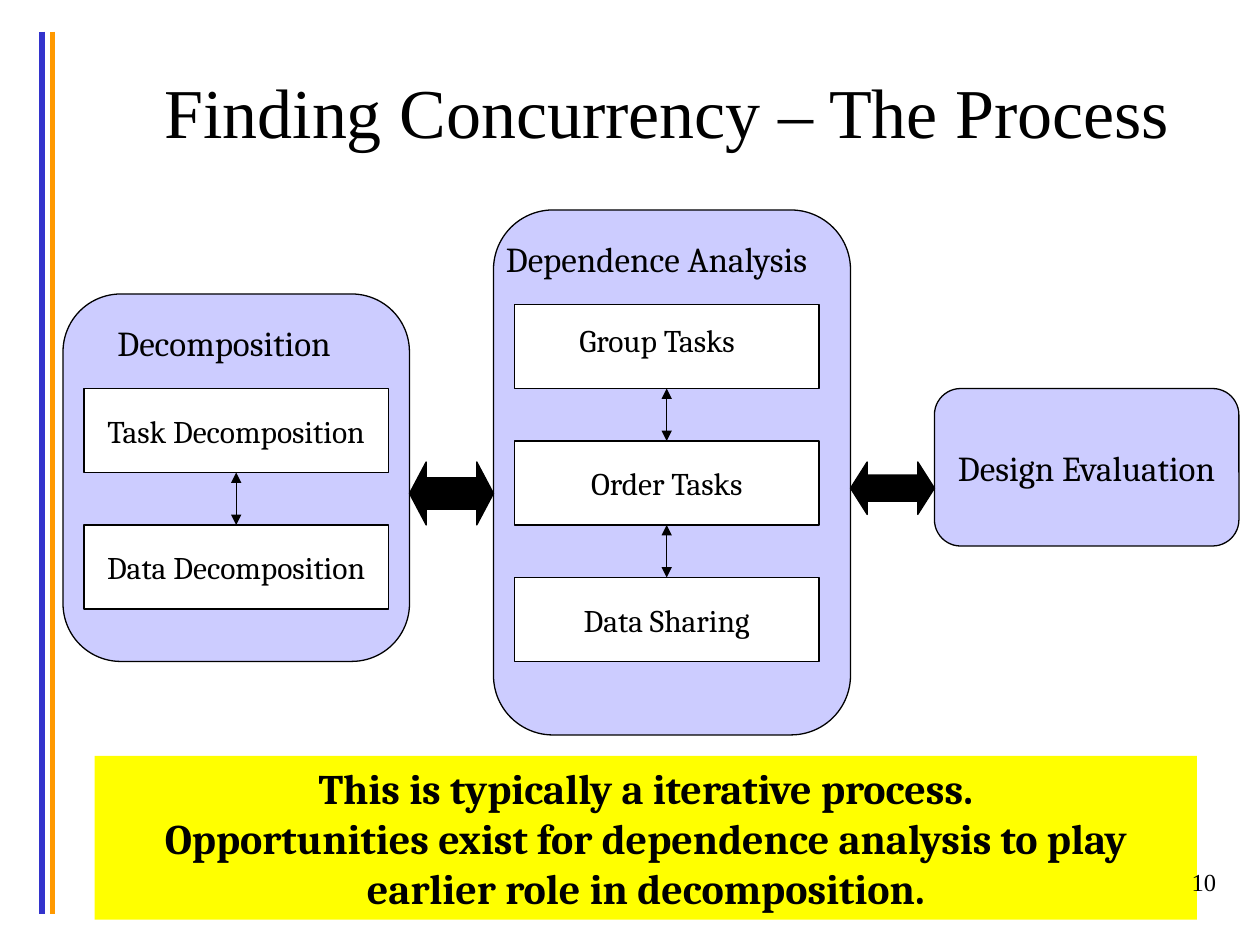
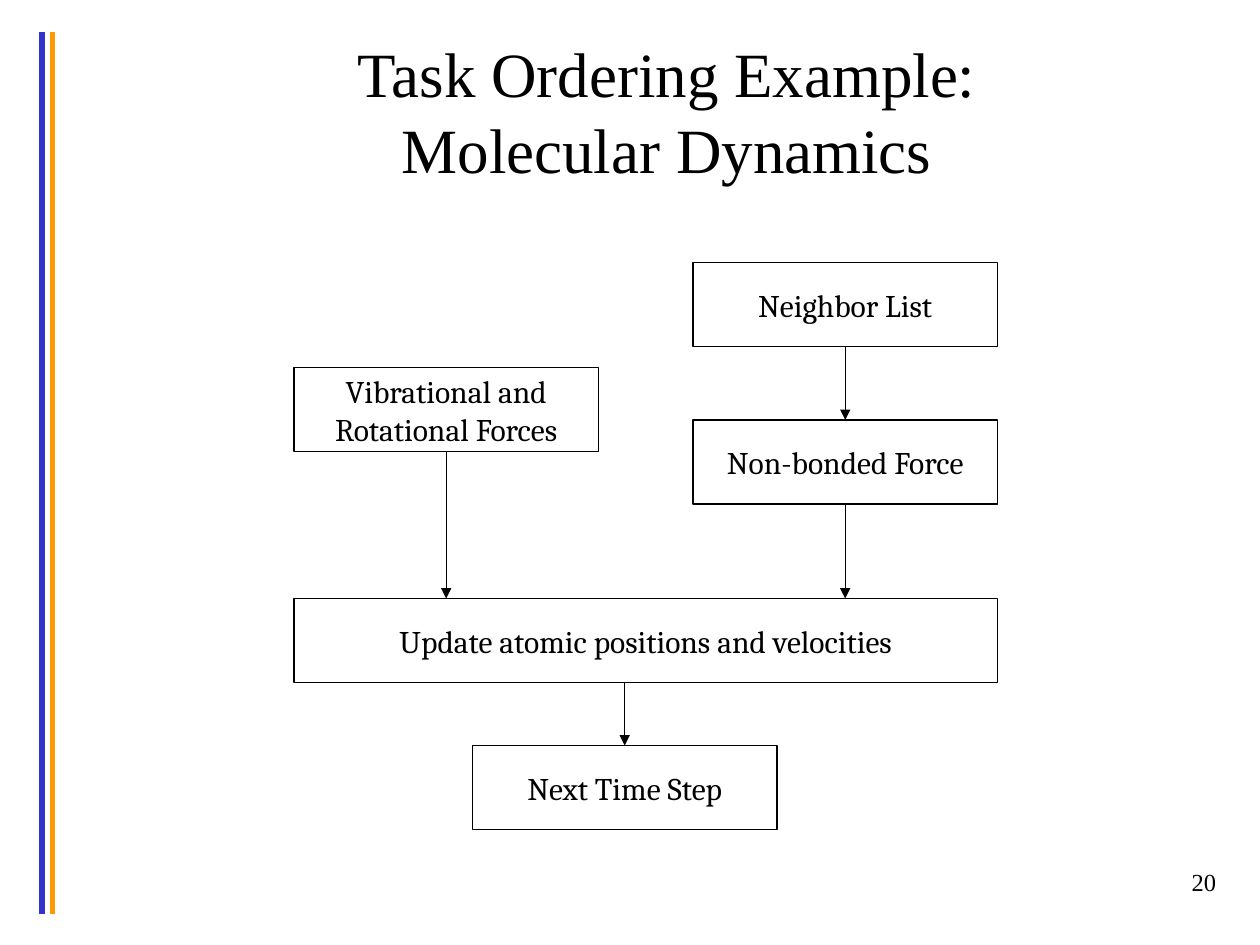
from lxml.etree import SubElement
from pptx import Presentation
from pptx.dml.color import RGBColor
from pptx.enum.shapes import MSO_CONNECTOR, MSO_SHAPE
from pptx.enum.text import MSO_ANCHOR, PP_ALIGN
from pptx.oxml.ns import qn
from pptx.util import Pt

COLORS = {"ink": "000000", "paper": "FFFFFF", "stage": "CCCCFF",
          "note": "FFFF00", "blue": "3333CC", "orange": "FF9900"}
BODY_FONT, TITLE_FONT = "Cambria", "Times New Roman"
STEP_WIDTH, STEP_HEIGHT = 174, 48
BOTTOM, TOP = 2, 0


def add_block(slide, place, text="", size=18, preset=None, fill="paper", outline=True,
              font=BODY_FONT, bold=False, align=PP_ALIGN.CENTER,
              anchor=MSO_ANCHOR.MIDDLE, wrap=False):
    """Add a filled preset shape, or a plain text box when preset is None."""
    place = [Pt(length) for length in place]
    if preset is None:
        block = slide.shapes.add_textbox(*place)
    else:
        block = slide.shapes.add_shape(preset, *place)
        block.shadow.inherit = False
        block.fill.solid()
        block.fill.fore_color.rgb = RGBColor.from_string(COLORS[fill])
        if outline:
            block.line.color.rgb = RGBColor.from_string(COLORS["ink"])
            block.line.width = Pt(0.75)
        else:
            block.line.fill.background()
    frame = block.text_frame
    frame.word_wrap = wrap
    frame.vertical_anchor = anchor
    if text:
        frame.text = text
        for paragraph in frame.paragraphs:
            paragraph.alignment = align
            for run in paragraph.runs:
                run.font.name = font
                run.font.size = Pt(size)
                run.font.bold = bold
                run.font.color.rgb = RGBColor.from_string(COLORS["ink"])
    return block


def add_vertical_line(slide, x, top, bottom, color="ink", width=0.75, arrowheads=(),
                      source=None, target=None):
    """Draw a line downwards, joined to the source's bottom and the target's top."""
    line = slide.shapes.add_connector(MSO_CONNECTOR.STRAIGHT,
                                      Pt(x), Pt(top), Pt(x), Pt(bottom))
    if source is not None:
        line.begin_connect(source, BOTTOM)
    if target is not None:
        line.end_connect(target, TOP)
    line.line.color.rgb = RGBColor.from_string(COLORS[color])
    line.line.width = Pt(width)
    outline = line.line._get_or_add_ln()
    for end in arrowheads:
        SubElement(outline, qn(f"a:{end}"), type="triangle")
    SubElement(line._element.spPr, qn("a:effectLst"))


deck = Presentation()
deck.slide_width, deck.slide_height = Pt(720), Pt(540)

# Shared frame: side rules, title and page number
slides = []
for title, title_size, page in [
    ("Finding Concurrency – The Process", 40, "10"),
    ("Task Ordering Example:\vMolecular Dynamics", 36, "20"),
]:
    slide = deck.slides.add_slide(deck.slide_layouts[6])
    for rule_x, rule_color in [(24, "blue"), (30, "orange")]:
        add_vertical_line(slide, rule_x, 18, 522, rule_color, 3)
    add_block(slide, (54, 18, 654, 90), title, title_size, font=TITLE_FONT, wrap=True)
    slides.append((slide, page))
process, ordering = [slide for slide, page in slides]

# Process: stages, their headings and their steps
for stage_place, heading, heading_place, steps_left, steps_top, steps in [
    ((282, 120, 204, 300), "Dependence Analysis", (282, 132, 207, 32),
     294, 174, ["", "Order Tasks", "Data Sharing"]),
    ((36, 168, 198, 210), "Decomposition", (60, 180, 149, 32),
     48, 222, ["Task Decomposition", "Data Decomposition"]),
]:
    add_block(process, stage_place, preset=MSO_SHAPE.FLOWCHART_ALTERNATE_PROCESS,
              fill="stage")
    add_block(process, heading_place, heading, 20, align=PP_ALIGN.LEFT,
              anchor=MSO_ANCHOR.TOP)
    previous = None
    for index, step in enumerate(steps):
        step_top = steps_top + index * 78
        current = add_block(process, (steps_left, step_top, STEP_WIDTH, STEP_HEIGHT),
                            step, preset=MSO_SHAPE.RECTANGLE)
        if previous is not None:
            add_vertical_line(process, steps_left + STEP_WIDTH / 2, step_top - 30, step_top,
                              arrowheads=("headEnd", "tailEnd"),
                              source=previous, target=current)
        previous = current

add_block(process, (324, 180, 117, 29), "Group Tasks", align=PP_ALIGN.LEFT,
          anchor=MSO_ANCHOR.TOP)
add_block(process, (534, 222, 174, 90), "Design Evaluation", 20,
          MSO_SHAPE.FLOWCHART_ALTERNATE_PROCESS, "stage")

for exchange_left, exchange_height, head_length in [(234, 36, 0.265), (486, 30, 0.318)]:
    exchange = add_block(process, (exchange_left, 264, 48, exchange_height),
                         preset=MSO_SHAPE.LEFT_RIGHT_ARROW, fill="ink")
    exchange.adjustments[0] = 0.5
    exchange.adjustments[1] = head_length

add_block(process, (54, 432, 630, 93.6),
          "This is typically a iterative process.\n"
          "Opportunities exist for dependence analysis to play earlier role in decomposition.",
          24, MSO_SHAPE.RECTANGLE, "note", outline=False, bold=True,
          anchor=MSO_ANCHOR.TOP, wrap=True)

# Task ordering: tasks and the order between them
tasks = {}
for task, left, top, width in [
    ("Neighbor List", 396, 150, STEP_WIDTH),
    ("Vibrational and\nRotational Forces", 168, 210, STEP_WIDTH),
    ("Non-bonded Force", 396, 240, STEP_WIDTH),
    ("Next Time Step", 270, 426, STEP_WIDTH),
    ("Update atomic positions and velocities", 168, 342, 402),
]:
    tasks[task.split()[0]] = add_block(ordering, (left, top, width, STEP_HEIGHT), task,
                                       preset=MSO_SHAPE.RECTANGLE)

for x, top, bottom, source, target in [
    (483, 198, 240, "Neighbor", "Non-bonded"),
    (483, 288, 342, "Non-bonded", None),
    (255, 258, 342, "Vibrational", None),
    (357, 390, 426, None, "Next"),
]:
    add_vertical_line(ordering, x, top, bottom, arrowheads=("tailEnd",),
                      source=tasks.get(source), target=tasks.get(target))

for slide, page in slides:
    add_block(slide, (552, 492, 150, 36), page, 14, font=TITLE_FONT,
              align=PP_ALIGN.RIGHT, anchor=MSO_ANCHOR.TOP, wrap=True)

deck.save("out.pptx")
